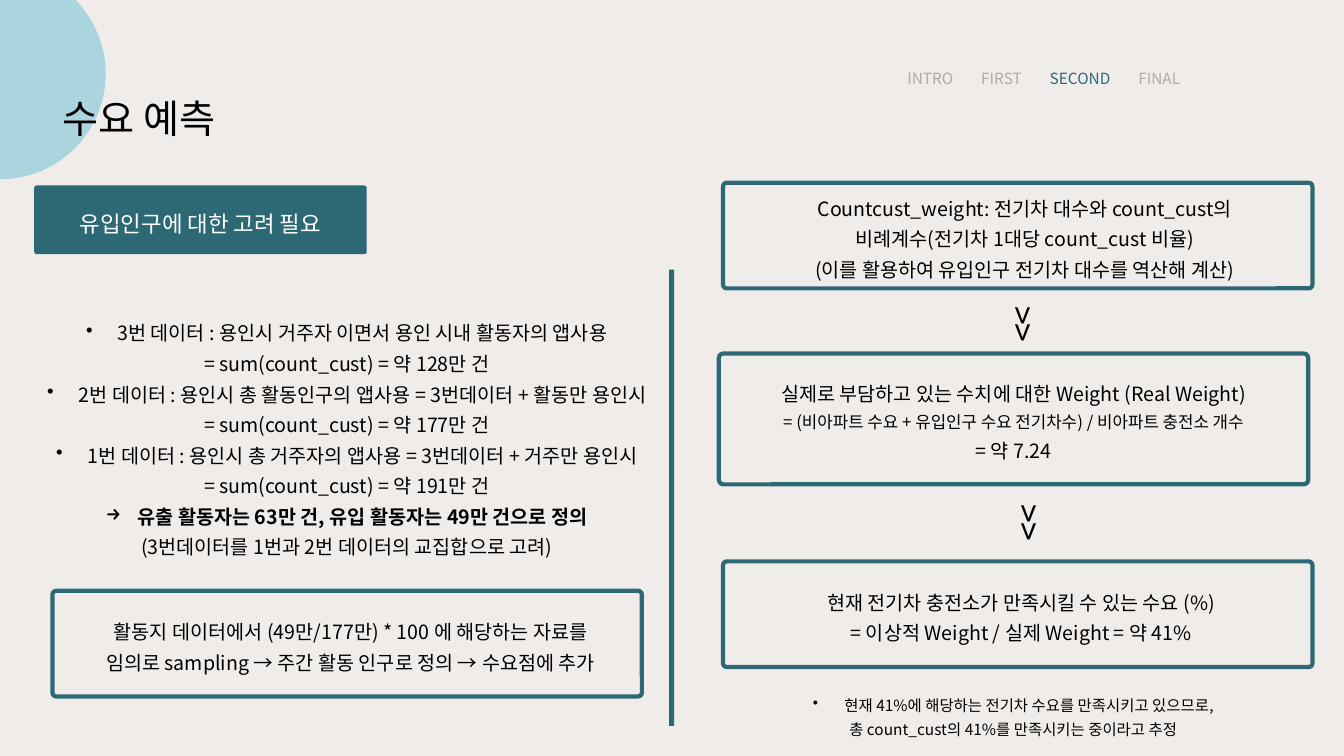
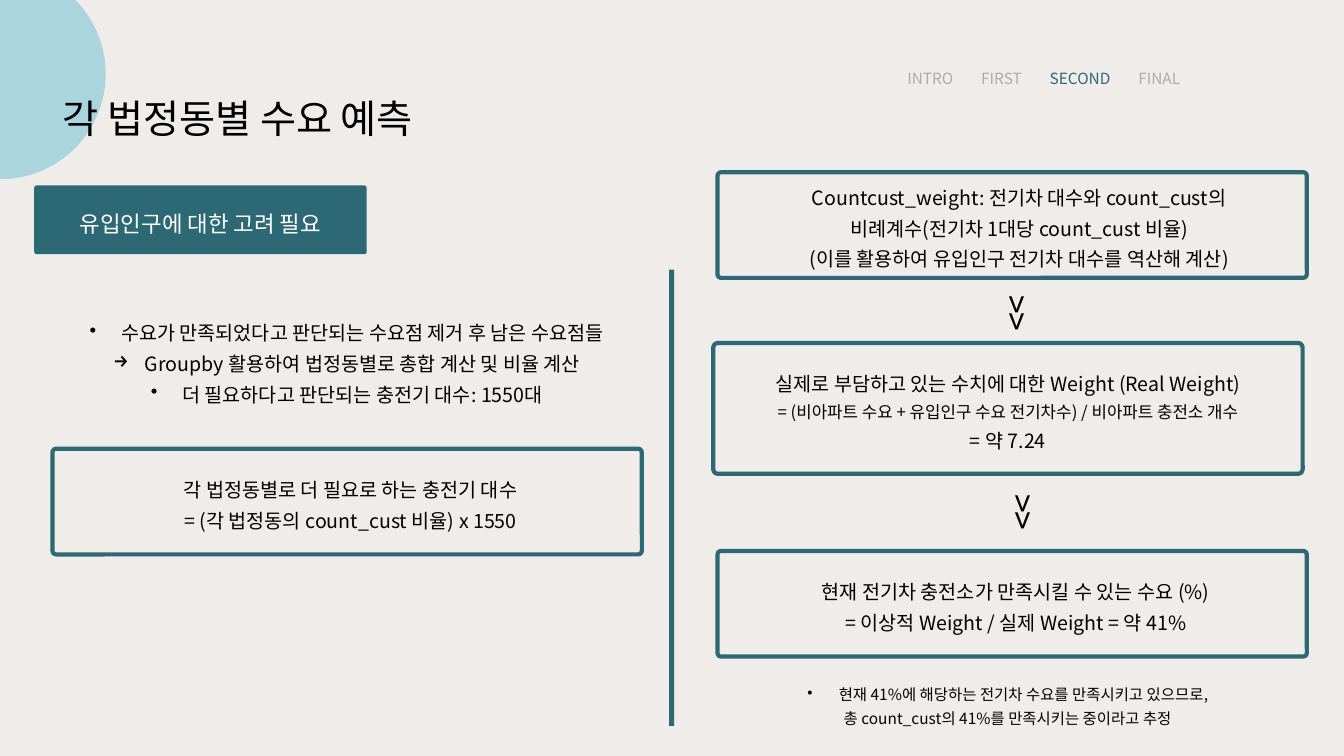
from dataclasses import dataclass

from lxml import etree
from pptx import Presentation
from pptx.dml.color import RGBColor
from pptx.enum.shapes import MSO_SHAPE
from pptx.enum.text import MSO_ANCHOR, MSO_AUTO_SIZE, PP_ALIGN
from pptx.oxml.ns import qn
from pptx.util import Pt

ELLIPSE, RECTANGLE, ROUNDED = MSO_SHAPE.OVAL, MSO_SHAPE.RECTANGLE, MSO_SHAPE.ROUNDED_RECTANGLE
LEFT, CENTER = PP_ALIGN.LEFT, PP_ALIGN.CENTER
TOP, MIDDLE = MSO_ANCHOR.TOP, MSO_ANCHOR.MIDDLE
NO_AUTOFIT = MSO_AUTO_SIZE.NONE
TITLE_ONLY = 5


@dataclass(frozen=True)
class Theme:
    """Colours, type sizes and measures shared by the slides."""
    font: str = "Noto Sans CJK KR"
    background: RGBColor = RGBColor(0xF0, 0xEC, 0xE9)
    circle: RGBColor = RGBColor(0xAA, 0xD5, 0xDE)
    accent: RGBColor = RGBColor(0x2D, 0x69, 0x75)
    muted: RGBColor = RGBColor(0xAF, 0xAB, 0xAB)
    text: RGBColor = RGBColor(0, 0, 0)
    light: RGBColor = RGBColor(0xFF, 0xFF, 0xFF)
    title_size: float = 28
    arrow_size: float = 24
    badge_size: float = 16
    body_size: float = 14
    detail_size: float = 12
    small_size: float = 11
    line_spacing: float = 1.3
    line_height: float = 21.9
    indent: float = 22.5
    border: float = 3
    corner: float = 0.035
    panel_width: float = 421
    panel_height: float = 75.5


THEME = Theme()


@dataclass(frozen=True)
class Line:
    """One paragraph with its bullet and type."""
    text: str
    bullet: str = ""
    size: float = THEME.body_size
    bold: bool = False
    color: RGBColor = THEME.text


SECTIONS = ("INTRO", "FIRST", "SECOND", "FINAL")
SECTION_TABS = (52.8, 101.7, 165)
BADGE = "유입인구에 대한 고려 필요"
RIGHT_PANELS = (
    (516.5, 130.5, THEME.panel_height, 5, (
        Line("Countcust_weight: 전기차 대수와 count_cust의"),
        Line("비례계수(전기차 1대당 count_cust 비율)"),
        Line("(이를 활용하여 유입인구 전기차 대수를 역산해 계산)"))),
    (513.5, 252.5, 93.5, 0, (
        Line("실제로 부담하고 있는 수치에 대한 Weight (Real Weight)"),
        Line("= (비아파트 수요 + 유입인구 수요 전기차수) / 비아파트 충전소 개수",
             size=THEME.detail_size),
        Line("= 약 7.24"))),
    (516.5, 401, THEME.panel_height, 2.5, (
        Line("현재 전기차 충전소가 만족시킬 수 있는 수요 (%)"),
        Line("= 이상적 Weight / 실제 Weight = 약 41%"))),
)
ARROWS = ((701.5, 210), (705.5, 352))
NOTE = (
    Line("현재 41%에 해당하는 전기차 수요를 만족시키고 있으므로,", "•", THEME.small_size),
    Line("총 count_cust의 41%를 만족시키는 중이라고 추정", size=THEME.small_size),
)
SLIDES = (
    ("수요 예측", (
        Line("3번 데이터 : 용인시 거주자 이면서 용인 시내 활동자의 앱사용", "•"),
        Line("= sum(count_cust) = 약 128만 건"),
        Line("2번 데이터 : 용인시 총 활동인구의 앱사용 = 3번데이터 + 활동만 용인시", "•"),
        Line("= sum(count_cust) = 약 177만 건"),
        Line("1번 데이터 : 용인시 총 거주자의 앱사용 = 3번데이터 + 거주만 용인시", "•"),
        Line("= sum(count_cust) = 약 191만 건"),
        Line("유출 활동자는 63만 건, 유입 활동자는 49만 건으로 정의", "→", bold=True),
        Line("(3번데이터를 1번과 2번 데이터의 교집합으로 고려)")),
     422, (
        Line("활동지 데이터에서 (49만/177만) * 100 에 해당하는 자료를"),
        Line("임의로 sampling → 주간 활동 인구로 정의 → 수요점에 추가")),
     (0, 0)),
    ("각 법정동별 수요 예측", (
        Line("수요가 만족되었다고 판단되는 수요점 제거 후 남은 수요점들", "•"),
        Line("Groupby 활용하여 법정동별로 총합 계산 및 비율 계산", "→"),
        Line("더 필요하다고 판단되는 충전기 대수: 1550대", "•")),
     320.5, (
        Line("각 법정동별로 더 필요로 하는 충전기 대수"),
        Line("= (각 법정동의 count_cust 비율) x 1550")),
     (-4, -7.5)),
)


class Deck:
    """Draws styled elements on the current slide."""

    def __init__(self, theme):
        """Start an empty widescreen presentation."""
        self.theme = theme
        self.presentation = Presentation()
        self.presentation.slide_width = Pt(960)
        self.presentation.slide_height = Pt(540)
        fill = self.presentation.slide_master.background.fill
        fill.solid()
        fill.fore_color.rgb = theme.background
        self.slide = None

    def style_run(self, run, line):
        """Apply the type of a line to a run."""
        font = run.font
        font.name = self.theme.font
        font.size = Pt(line.size)
        font.bold = line.bold
        font.color.rgb = line.color
        properties = run._r.get_or_add_rPr()
        etree.SubElement(properties, qn("a:ea"), typeface=self.theme.font)

    def set_lines(self, frame, lines, alignment=CENTER, anchor=TOP, wrap=True):
        """Fill a text frame with lines."""
        frame.auto_size = NO_AUTOFIT
        frame.word_wrap = wrap
        frame.vertical_anchor = anchor
        frame.text = "\n".join(line.text for line in lines)
        for paragraph, line in zip(frame.paragraphs, lines):
            paragraph.alignment = alignment
            paragraph.line_spacing = self.theme.line_spacing
            if line.bullet:
                properties = paragraph._p.get_or_add_pPr()
                indent = Pt(self.theme.indent)
                properties.set("marL", str(indent))
                properties.set("indent", str(-indent))
                etree.SubElement(properties, qn("a:buChar"), char=line.bullet)
            for run in paragraph.runs:
                self.style_run(run, line)

    def shape(self, kind, left, top, width, height, fill=None, border=None):
        """Add a flat preset shape."""
        shape = self.slide.shapes.add_shape(kind, Pt(left), Pt(top), Pt(width), Pt(height))
        shape.shadow.inherit = False
        if kind == ROUNDED:
            shape.adjustments[0] = self.theme.corner
        if fill is None:
            shape.fill.background()
        else:
            shape.fill.solid()
            shape.fill.fore_color.rgb = fill
        if border is None:
            shape.line.fill.background()
        else:
            shape.line.color.rgb = border
            shape.line.width = Pt(self.theme.border)
        return shape

    def text(self, left, top, width, height, lines, **layout):
        """Add a text box."""
        box = self.slide.shapes.add_textbox(Pt(left), Pt(top), Pt(width), Pt(height))
        self.set_lines(box.text_frame, lines, **layout)
        return box

    def panel(self, left, top, height, nudge, lines):
        """Add an outlined panel whose text sits slightly right of centre."""
        panel = self.shape(ROUNDED, left, top, self.theme.panel_width, height,
                           border=self.theme.accent)
        frame = panel.text_frame
        frame.margin_left, frame.margin_right = Pt(2 * nudge), Pt(0)
        self.set_lines(frame, lines, anchor=MIDDLE)

    def arrow(self, left, top):
        """Add a double chevron pointing down."""
        box = self.text(left, top, 68.5, 43, [Line(">>", size=self.theme.arrow_size)],
                        anchor=MIDDLE)
        box.rotation = 90
        box.text_frame.paragraphs[0].runs[0]._r.get_or_add_rPr().set("spc", "-100")

    def navigation(self, current):
        """Add the section names and highlight the current one."""
        theme = self.theme
        box = self.slide.shapes.add_textbox(Pt(641), Pt(42), Pt(263.5), Pt(24))
        box.text_frame.word_wrap = False
        paragraph = box.text_frame.paragraphs[0]
        paragraph.line_spacing = theme.line_spacing
        tabs = etree.SubElement(paragraph._p.get_or_add_pPr(), qn("a:tabLst"))
        for position in SECTION_TABS:
            etree.SubElement(tabs, qn("a:tab"), pos=str(Pt(position)), algn="l")
        for index, section in enumerate(SECTIONS):
            run = paragraph.add_run()
            run.text = f"\t{section}" if index else section
            color = theme.accent if section == current else theme.muted
            self.style_run(run, Line(section, size=theme.small_size, color=color))

    def badge(self, text):
        """Add the filled heading of the left column."""
        badge = self.shape(ROUNDED, 24.5, 132.5, 237.5, 49, fill=self.theme.accent)
        line = Line(text, size=self.theme.badge_size, color=self.theme.light)
        self.set_lines(badge.text_frame, [line], anchor=MIDDLE)

    def start(self, title):
        """Begin a slide with its title, circle, navigation and divider."""
        layout = self.presentation.slide_layouts[TITLE_ONLY]
        self.slide = self.presentation.slides.add_slide(layout)
        heading = self.slide.shapes.title
        heading.left, heading.top, heading.width, heading.height = map(Pt, (37.5, 54, 560, 49))
        self.set_lines(heading.text_frame, [Line(title, size=self.theme.title_size)], LEFT)
        circle = self.shape(ELLIPSE, -75, -22.5, 150.5, 150.5, fill=self.theme.circle)
        heading.element.addprevious(circle.element)
        self.navigation("SECOND")
        self.badge(BADGE)
        self.shape(RECTANGLE, 478, 192.5, 3.6, 326, fill=self.theme.accent)

    def left_column(self, body, panel_top, panel_lines):
        """Add the list and the conclusion panel."""
        height = 7.2 + len(body) * self.theme.line_height
        self.text(9.5, 221, 476.5, height, body, wrap=False)
        self.panel(37.5, panel_top, self.theme.panel_height, 2.5, panel_lines)

    def right_column(self, shift_x, shift_y):
        """Add the chain of panels and its note."""
        for left, top, height, nudge, lines in RIGHT_PANELS:
            self.panel(left + shift_x, top + shift_y, height, nudge, lines)
        for left, top in ARROWS:
            self.arrow(left + shift_x, top + shift_y)
        self.text(522.5 + shift_x, 489.5 + shift_y, 402.5, 58.5, NOTE)


def main():
    """Build and save the slides."""
    deck = Deck(THEME)
    for title, body, panel_top, panel_lines, shift in SLIDES:
        deck.start(title)
        deck.left_column(body, panel_top, panel_lines)
        deck.right_column(*shift)
    deck.presentation.save("out.pptx")


if __name__ == "__main__":
    main()
